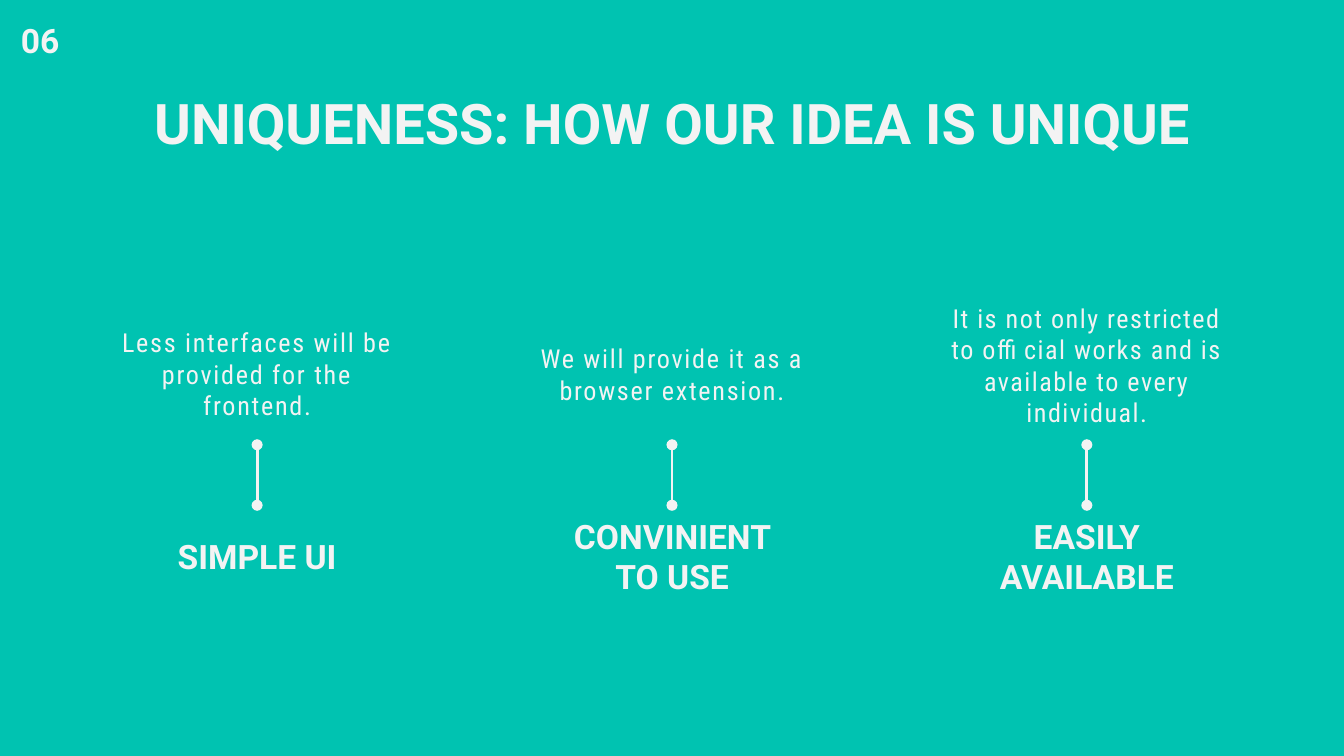
from lxml import etree
from pptx import Presentation
from pptx import util as u
from pptx.dml.color import RGBColor
from pptx.enum import shapes, text
from pptx.oxml.ns import qn

COLOURS = {"background": "00C3B1", "ink": "F3F3F3"}
COLUMNS = [
    ("Less interfaces will be provided for the frontend.", "SIMPLE UI", 76, 0.9),
    ("We will provide it as a browser extension.", "CONVINIENT TO USE", 76, 0.9),
    ("It is not only restricted to official works and is available to every individual.",
     "EASILY AVAILABLE", 85.5, 0.8),
]
MIDDLE, COLUMN_STEP = 360, 222.25
BODY_WIDTH, HEADING_WIDTH, HEADING_HEIGHT = 162, 121, 54
LINK_TOP, LINK_BOTTOM = 238.3, 270.7


class Slide:
    heading_font = "Roboto"
    body_font = "Roboto Condensed"

    def __init__(self, deck):
        self.page = deck.slides.add_slide(deck.slide_layouts[6])
        fill = self.page.background.fill
        fill.solid()
        fill.fore_color.rgb = self.colour("background")

    def colour(self, name):
        return RGBColor.from_string(COLOURS[name])

    def label(self, words, left, top, width, height, size, inset=7.2, font=heading_font,
              bold=True, spacing=0, align=text.PP_ALIGN.CENTER,
              anchor=text.MSO_ANCHOR.MIDDLE):
        box = self.page.shapes.add_textbox(u.Pt(left), u.Pt(top), u.Pt(width), u.Pt(height))
        frame = box.text_frame
        frame.text = words
        frame.word_wrap = True
        frame.vertical_anchor = anchor
        frame.margin_left = frame.margin_right = u.Pt(inset)
        frame.margin_top = frame.margin_bottom = u.Pt(inset)
        para = frame.paragraphs[0]
        para.alignment = align
        span = para.runs[0]
        span.font.name = font
        span.font.size = u.Pt(size)
        span.font.bold = bold
        span.font.color.rgb = self.colour("ink")
        if spacing:
            span.font._element.set("spc", str(round(spacing * 100)))

    def link(self, x, top, bottom):
        line = self.page.shapes.add_connector(
            shapes.MSO_CONNECTOR.STRAIGHT, u.Pt(x), u.Pt(top), u.Pt(x), u.Pt(bottom))
        line.line.color.rgb = self.colour("ink")
        line.line.width = u.Pt(1.5)
        outline = line.line._get_or_add_ln()
        for end in ("a:headEnd", "a:tailEnd"):
            etree.SubElement(outline, qn(end), type="oval")
        etree.SubElement(line._element.spPr, qn("a:effectLst"))


def main():
    deck = Presentation()
    deck.slide_width, deck.slide_height = u.Pt(720), u.Pt(405)
    slide = Slide(deck)
    slide.label("UNIQUENESS: HOW OUR IDEA IS UNIQUE", 56.7, 40.3, 607, 45.4, 30,
                anchor=text.MSO_ANCHOR.TOP)
    for index, (body, heading, height, spacing) in enumerate(COLUMNS):
        center = MIDDLE + (index - 1) * COLUMN_STEP
        slide.label(body, center - BODY_WIDTH / 2, LINK_TOP - height, BODY_WIDTH, height, 14,
                    font=slide.body_font, bold=False, spacing=spacing)
        slide.label(heading, center - HEADING_WIDTH / 2, LINK_BOTTOM, HEADING_WIDTH,
                    HEADING_HEIGHT, 18, inset=0)
        slide.link(center, LINK_TOP, LINK_BOTTOM)
    slide.label("06", -0.7, 7.2, 39.6, 28.8, 18, align=text.PP_ALIGN.RIGHT)
    deck.save("out.pptx")


if __name__ == "__main__":
    main()
